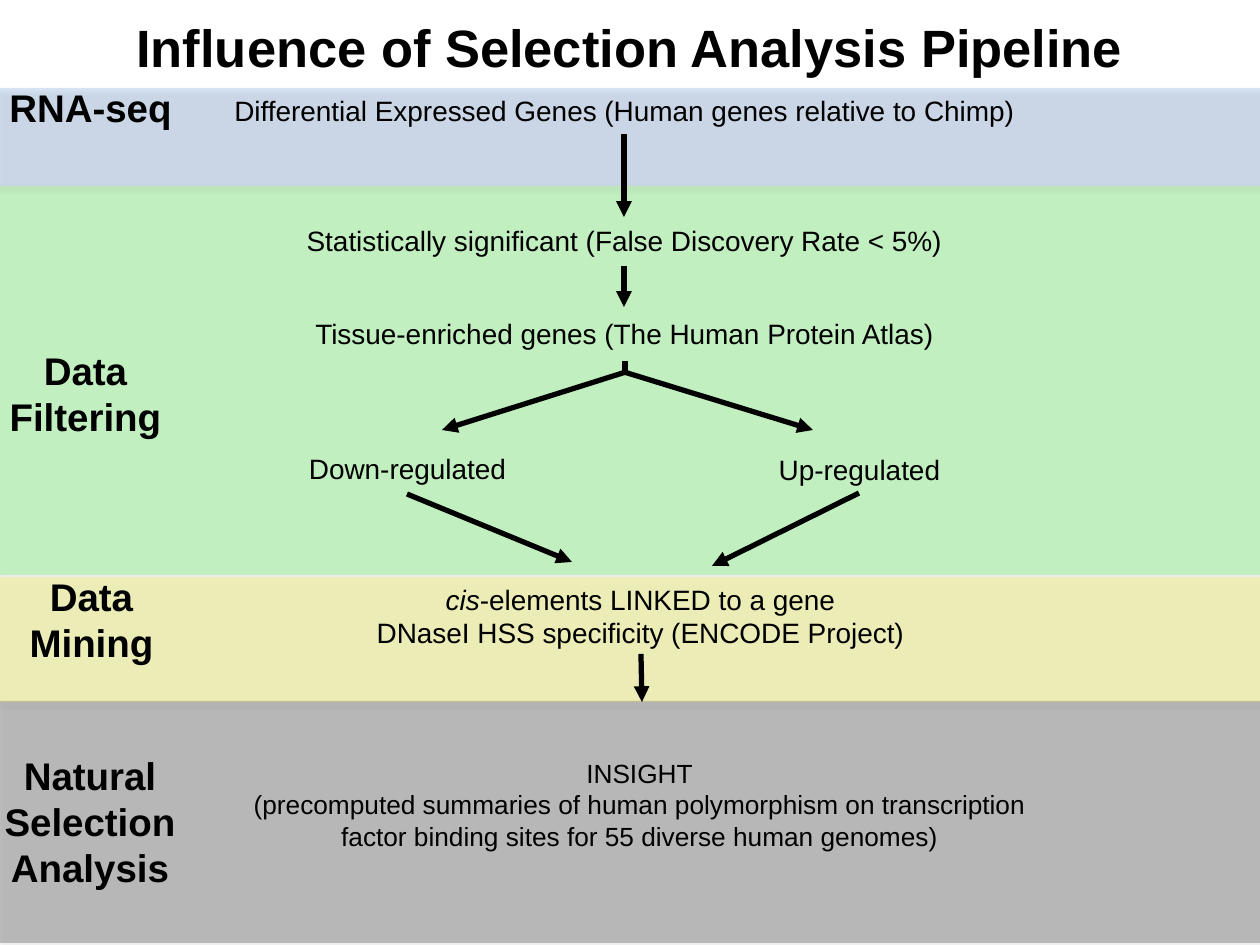
from typing import NamedTuple

from lxml.etree import SubElement
from pptx import Presentation
from pptx.dml.color import RGBColor
from pptx.enum.shapes import MSO_CONNECTOR, MSO_SHAPE
from pptx.enum.text import MSO_ANCHOR, MSO_AUTO_SIZE, PP_ALIGN
from pptx.oxml.ns import qn
from pptx.util import Emu, Pt

EMU_PER_PX = 914400 // 126
BLACK = "000000"


class Band(NamedTuple):
    left: int
    top: int
    width: int
    height: int
    color: str


class Label(NamedTuple):
    left: int
    top: int
    width: int
    height: int
    lines: tuple[str, ...]
    size: int = 16
    bold: bool = False
    italic_lead: str = ""


class Line(NamedTuple):
    x1: int
    y1: int
    x2: int
    y2: int
    arrow: bool = True


def px(length: float) -> Emu:
    return Emu(round(length * EMU_PER_PX))


def rgb(color: str) -> RGBColor:
    return RGBColor.from_string(color)


def add_alpha(color_element, percent: int) -> None:
    SubElement(color_element, qn("a:alpha"), val=str(percent * 1000))


def draw_band(shapes, band: Band) -> None:
    """Draw a translucent stage strip: an upright shape turned on its side."""
    center_x = band.left + band.width / 2
    center_y = band.top + band.height / 2
    strip = shapes.add_shape(
        MSO_SHAPE.ROUND_2_SAME_RECTANGLE,
        px(center_x - band.height / 2), px(center_y - band.width / 2),
        px(band.height), px(band.width))
    strip.rotation = 90
    strip.adjustments[0] = 0
    strip.line.fill.background()
    strip.fill.solid()
    strip.fill.fore_color.rgb = rgb(band.color)
    properties = strip._element.spPr
    add_alpha(properties.find(qn("a:solidFill")).find(qn("a:srgbClr")), 22)

    # Soft shadow straight below
    strip.shadow.inherit = False
    shadow = SubElement(
        properties.find(qn("a:effectLst")), qn("a:outerShdw"),
        blurRad=str(Pt(3.1)), dist=str(Pt(1.8)), dir="5400000", rotWithShape="0")
    add_alpha(SubElement(shadow, qn("a:srgbClr"), val=BLACK), 35)


def draw_label(shapes, label: Label, **frame_format) -> None:
    box = shapes.add_textbox(*(px(length) for length in label[:4]))
    frame = box.text_frame
    frame_values = {"word_wrap": False,
                    "auto_size": MSO_AUTO_SIZE.SHAPE_TO_FIT_TEXT} | frame_format
    for name, value in frame_values.items():
        setattr(frame, name, value)

    font_values = {"name": "Arial", "size": Pt(label.size), "bold": label.bold}
    for index, text in enumerate(label.lines):
        paragraph = frame.add_paragraph() if index else frame.paragraphs[0]
        paragraph.alignment = PP_ALIGN.CENTER
        lead = "" if index else label.italic_lead
        for part, italic in ((lead, True), (text, False)):
            if not part:
                continue
            run = paragraph.add_run()
            run.text = part
            for name, value in (font_values | {"italic": italic}).items():
                setattr(run.font, name, value)
            run.font.color.rgb = rgb(BLACK)


def draw_line(shapes, line: Line) -> None:
    connector = shapes.add_connector(
        MSO_CONNECTOR.STRAIGHT, *(px(length) for length in line[:4]))
    connector.line.width = Pt(3)
    connector.line.color.rgb = rgb(BLACK)
    if line.arrow:
        SubElement(connector.line._get_or_add_ln(), qn("a:tailEnd"), type="triangle")
    SubElement(connector._element.spPr, qn("a:effectLst"))


TITLE = Label(63, -33, 1134, 158, ("Influence of Selection Analysis Pipeline",), 30, True)

BANDS = (
    Band(-3, 186, 1317, 389, "34FF28"),
    Band(-3, 88, 1281, 98, "558ED5"),
    Band(-3, 701, 1347, 242, BLACK),
    Band(-4, 577, 1317, 125, "F2F000"),
)

STAGES = (
    Label(-4, 78, 189, 59, ("RNA-seq",), 22, True),
    Label(-4, 341, 179, 106, ("Data", "Filtering"), 22, True),
    Label(16, 567, 151, 106, ("Data", "Mining"), 22, True),
    Label(-9, 746, 198, 152, ("Natural", "Selection", "Analysis"), 22, True),
)

STEPS = (
    Label(217, 87, 815, 47,
          ("Differential Expressed Genes (Human genes relative to Chimp)",)),
    Label(290, 217, 669, 47,
          ("Statistically significant (False Discovery Rate < 5%)",)),
    Label(299, 310, 651, 47, ("Tissue-enriched genes (The Human Protein Atlas)",)),
    Label(295, 445, 225, 47, ("Down-regulated",)),
    Label(765, 446, 189, 47, ("Up-regulated",)),
    Label(361, 576, 559, 81,
          ("-elements LINKED to a gene", "DNaseI HSS specificity (ENCODE Project)"),
          italic_lead="cis"),
    Label(237, 751, 805, 108,
          ("INSIGHT",
           "(precomputed summaries of human polymorphism on transcription",
           "factor binding sites for 55 diverse human genomes)"), 15),
)

LINES = (
    Line(624, 134, 624, 217),
    Line(624, 266, 624, 307),
    # Split into down- and up-regulated genes
    Line(626, 372, 442, 430),
    Line(624, 372, 813, 430),
    Line(625, 373, 625, 361, arrow=False),
    # Merge into data mining
    Line(407, 494, 572, 562),
    Line(859, 493, 712, 566),
    Line(641, 654, 642, 702),
)


def main() -> None:
    deck = Presentation()
    deck.slide_width, deck.slide_height = px(1260), px(945)
    shapes = deck.slides.add_slide(deck.slide_layouts[6]).shapes

    for band in BANDS:
        draw_band(shapes, band)
    draw_label(shapes, TITLE, word_wrap=True, auto_size=MSO_AUTO_SIZE.NONE,
               vertical_anchor=MSO_ANCHOR.MIDDLE)
    for label in STAGES + STEPS:
        draw_label(shapes, label)
    for line in LINES:
        draw_line(shapes, line)

    deck.save("out.pptx")


if __name__ == "__main__":
    main()
